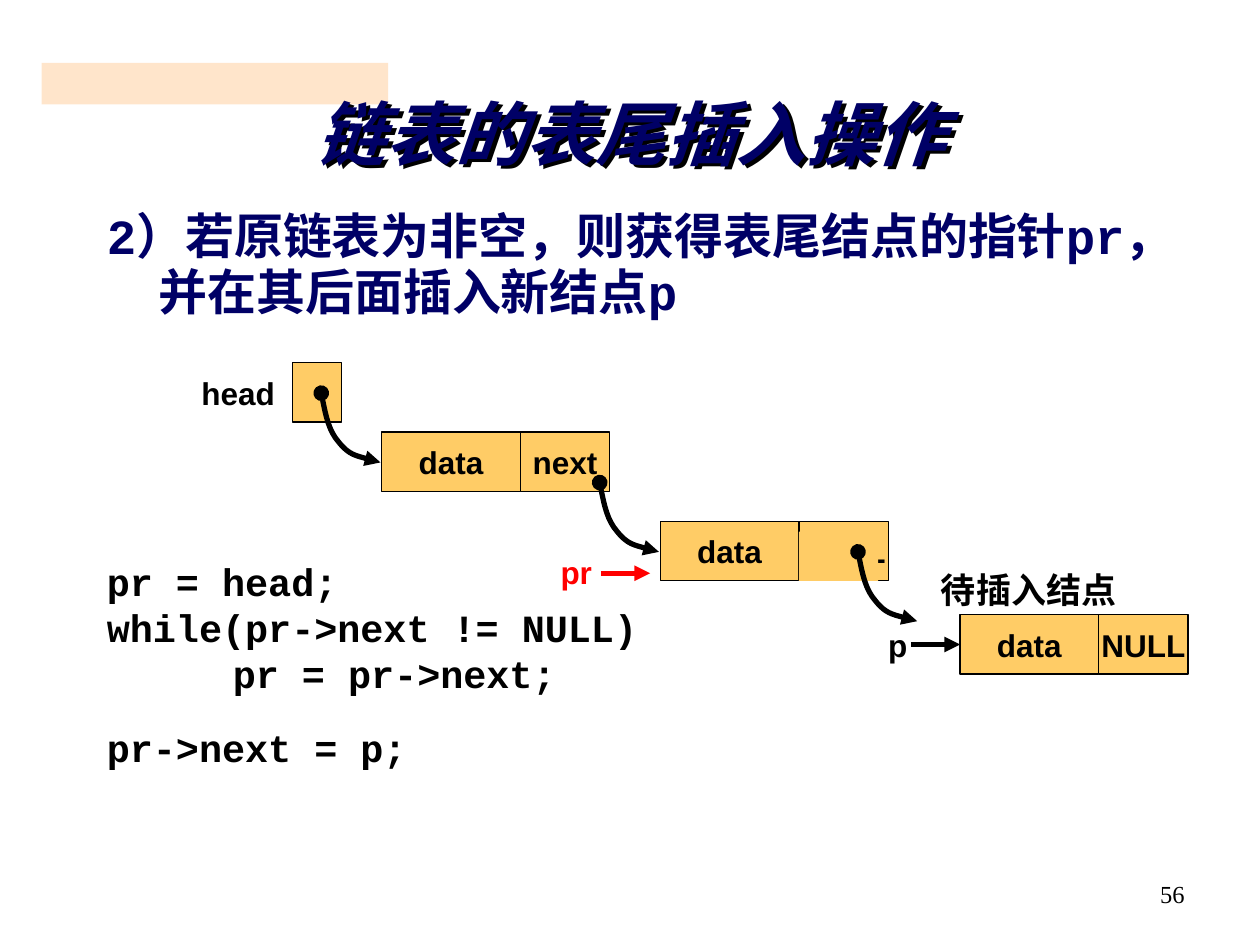
from typing import NamedTuple

import pptx
import pptx.dml.color
import pptx.enum.shapes
import pptx.enum.text
import pptx.oxml
import pptx.oxml.ns
import pptx.util

Inches, Pt = pptx.util.Inches, pptx.util.Pt
RGBColor = pptx.dml.color.RGBColor
ALIGN = pptx.enum.text.PP_ALIGN
MIDDLE = pptx.enum.text.MSO_ANCHOR.MIDDLE
RECTANGLE = pptx.enum.shapes.MSO_SHAPE.RECTANGLE
qn = pptx.oxml.ns.qn

BLACK = RGBColor(0x00, 0x00, 0x00)
NAVY = RGBColor(0x00, 0x00, 0x66)
RED = RGBColor(0xFF, 0x00, 0x00)
AMBER = RGBColor(0xFF, 0xCC, 0x66)
PEACH = RGBColor(0xFF, 0xCC, 0x99)

CELL_HEIGHT, DATA_WIDTH, NEXT_WIDTH = 0.47, 1.1, 0.71
# Control points of a link, measured from its start
LINK_CURVE = [(0.03, 0.15), (0.06, 0.3), (0.14, 0.39),
              (0.22, 0.49), (0.35, 0.52), (0.47, 0.55)]


class Node(NamedTuple):
    left: float
    top: float
    next_text: str


class Label(NamedTuple):
    text: str
    left: float
    top: float
    width: float
    height: float
    size: float = 18
    font: str = "Arial"
    color: RGBColor = BLACK
    align: ALIGN = ALIGN.LEFT
    middle: bool = False
    bold: bool = True


NODES = [Node(3.03, 3.43, "next"), Node(5.24, 4.14, "NULL"), Node(7.62, 4.88, "NULL")]
LINK_STARTS = [(2.55, 3.12), (4.76, 3.83), (6.81, 4.38)]
CODE = "pr = head;\nwhile(pr->next != NULL)\n\tpr = pr->next;"
LABELS = [
    Label("head", 1.44, 2.88, 0.9, CELL_HEIGHT, align=ALIGN.CENTER, middle=True),
    Label("待插入结点", 7.37, 4.46, 2.36, 0.44, 20, "Courier New"),
    Label("p", 6.95, 4.96, 0.48, 0.32, middle=True),
    Label("pr", 4.35, 4.38, 0.62, 0.32, color=RED, middle=True),
    Label(CODE, 0.75, 4.38, 8.74, 1.2, 22, "Courier New"),
    Label("pr->next = p;", 0.75, 5.7, 8.74, 0.47, 22, "Courier New"),
    Label("56", 7.17, 6.93, 2.33, 0.52, 14, "Times New Roman", align=ALIGN.RIGHT, bold=False),
]


def add_child(parent, tag: str, **attributes: str):
    child = parent.makeelement(qn(tag), attributes)
    parent.append(child)
    return child


def set_font(paragraph, name: str, size: float, color: RGBColor, bold: bool = True) -> None:
    font = paragraph.font
    font.name, font.size, font.bold = name, Pt(size), bold
    font.color.rgb = color


def add_label(shapes, label: Label):
    box = shapes.add_textbox(*map(Inches, label[1:5]))
    frame = box.text_frame
    frame.word_wrap = True
    if label.middle:
        frame.vertical_anchor = MIDDLE
    frame.text = label.text
    for paragraph in frame.paragraphs:
        paragraph.alignment = label.align
        if "\t" in paragraph.text:
            tabs = add_child(paragraph._p.get_or_add_pPr(), "a:tabLst")
            add_child(tabs, "a:tab", pos=str(Inches(1)), algn="l")
        set_font(paragraph, label.font, label.size, label.color, label.bold)
    return box


def add_box(shapes, left: float, top: float, width: float, height: float,
            fill: RGBColor = AMBER, outlined: bool = True, text: str = ""):
    box = shapes.add_shape(RECTANGLE, *map(Inches, (left, top, width, height)))
    box.shadow.inherit = False
    box.fill.solid()
    box.fill.fore_color.rgb = fill
    if outlined:
        box.line.color.rgb = BLACK
        box.line.width = Pt(0.75)
    else:
        box.line.fill.background()
    if text:
        frame = box.text_frame
        frame.word_wrap = False
        frame.vertical_anchor = MIDDLE
        frame.text = text
        frame.paragraphs[0].alignment = ALIGN.CENTER
        set_font(frame.paragraphs[0], "Arial", 18, BLACK)
    return box


def add_node(shapes, node: Node):
    """Draw both cells of a list node and return its data cell."""
    data = add_box(shapes, node.left, node.top, DATA_WIDTH, CELL_HEIGHT, text="data")
    add_box(shapes, node.left + DATA_WIDTH, node.top, NEXT_WIDTH, CELL_HEIGHT,
            text=node.next_text)
    return data


def style_arrow(line, color: RGBColor, dotted_start: bool = False) -> None:
    line.color.rgb = color
    line.width = Pt(3)
    ln = line._get_or_add_ln()
    if dotted_start:
        add_child(ln, "a:headEnd", type="oval")
    add_child(ln, "a:tailEnd", type="triangle")


def add_link(shapes, x: float, y: float) -> None:
    """Draw a curved pointer with a dot at its start."""
    builder = shapes.build_freeform(Inches(x), Inches(y))
    builder.add_line_segments([(Inches(x + dx), Inches(y + dy)) for dx, dy in LINK_CURVE],
                              close=False)
    link = builder.convert_to_shape()
    link.shadow.inherit = False
    link.fill.background()
    style_arrow(link.line, BLACK, dotted_start=True)
    # Turn each three line points into one Bezier segment
    outline = link._element.find(".//" + qn("a:path"))
    steps = outline.findall(qn("a:lnTo"))
    for first in range(0, len(steps), 3):
        curve = add_child(outline, "a:cubicBezTo")
        for step in steps[first:first + 3]:
            curve.append(step[0])
            outline.remove(step)


def add_arrow(shapes, x1: float, x2: float, y: float, color: RGBColor):
    arrow = shapes.add_connector(pptx.enum.shapes.MSO_CONNECTOR.STRAIGHT,
                                 Inches(x1), Inches(y), Inches(x2), Inches(y))
    style_arrow(arrow.line, color)
    add_child(arrow._element.spPr, "a:effectLst")
    return arrow


def main() -> None:
    deck = pptx.Presentation()
    deck.slide_width, deck.slide_height = Inches(10), Inches(7.5)
    slide = deck.slides.add_slide(deck.slide_layouts[5])
    shapes = slide.shapes

    # Title; with no fill, the shadow falls from its letters
    title = shapes.title
    title.left, title.top, title.width, title.height = map(Inches, (0.74, 0.64, 8.53, 0.92))
    title.text_frame.text = "链表的表尾插入操作"
    title.text_frame.vertical_anchor = MIDDLE
    heading = title.text_frame.paragraphs[0]
    heading.alignment = ALIGN.CENTER
    heading.line_spacing = 0.85
    set_font(heading, "Times New Roman", 40, NAVY)
    heading.font.italic = True
    title.fill.background()
    effects = add_child(title._element.spPr, "a:effectLst")
    shadow = add_child(effects, "a:outerShdw", dist=str(Pt(3)), dir="2700000")
    add_child(shadow, "a:srgbClr", val=str(BLACK))

    # Half-transparent bar behind the title
    bar = add_box(shapes, 0.33, 0.5, 2.75, 0.33, PEACH, outlined=False)
    bar_color = bar._element.spPr.find(".//" + qn("a:srgbClr"))
    add_child(bar_color, "a:alpha", val="50000")
    shapes._spTree.insert(2, bar._element)

    # Explanation with a hanging indent
    step = add_label(shapes, Label("2）若原链表为非空，则获得表尾结点的指针pr，并在其后面插入新结点p",
                                   0.75, 1.62, 8.9, 1.1, 28, "Courier New", NAVY))
    step_line = step.text_frame.paragraphs[0]
    step_line.line_spacing = 0.95
    indent = step_line._p.get_or_add_pPr()
    indent.set("marL", str(Inches(0.41)))
    indent.set("indent", str(-Inches(0.41)))

    # Linked list: head pointer, nodes, and the patch over the old NULL
    add_box(shapes, 2.32, 2.88, 0.39, CELL_HEIGHT)
    data_cells = [add_node(shapes, node) for node in NODES]
    add_box(shapes, 6.34, 4.22, 0.63, 0.39, outlined=False)
    for x, y in LINK_STARTS:
        add_link(shapes, x, y)

    # Labels, code and page number
    for label in LABELS:
        add_label(shapes, label)

    # Pointer arrows
    add_arrow(shapes, 4.77, 5.16, 4.55, RED)
    new_node = NODES[-1]
    p_arrow = add_arrow(shapes, 7.23, new_node.left, new_node.top + CELL_HEIGHT / 2, BLACK)
    p_arrow.end_connect(data_cells[-1], 1)

    deck.save("out.pptx")


if __name__ == "__main__":
    main()
